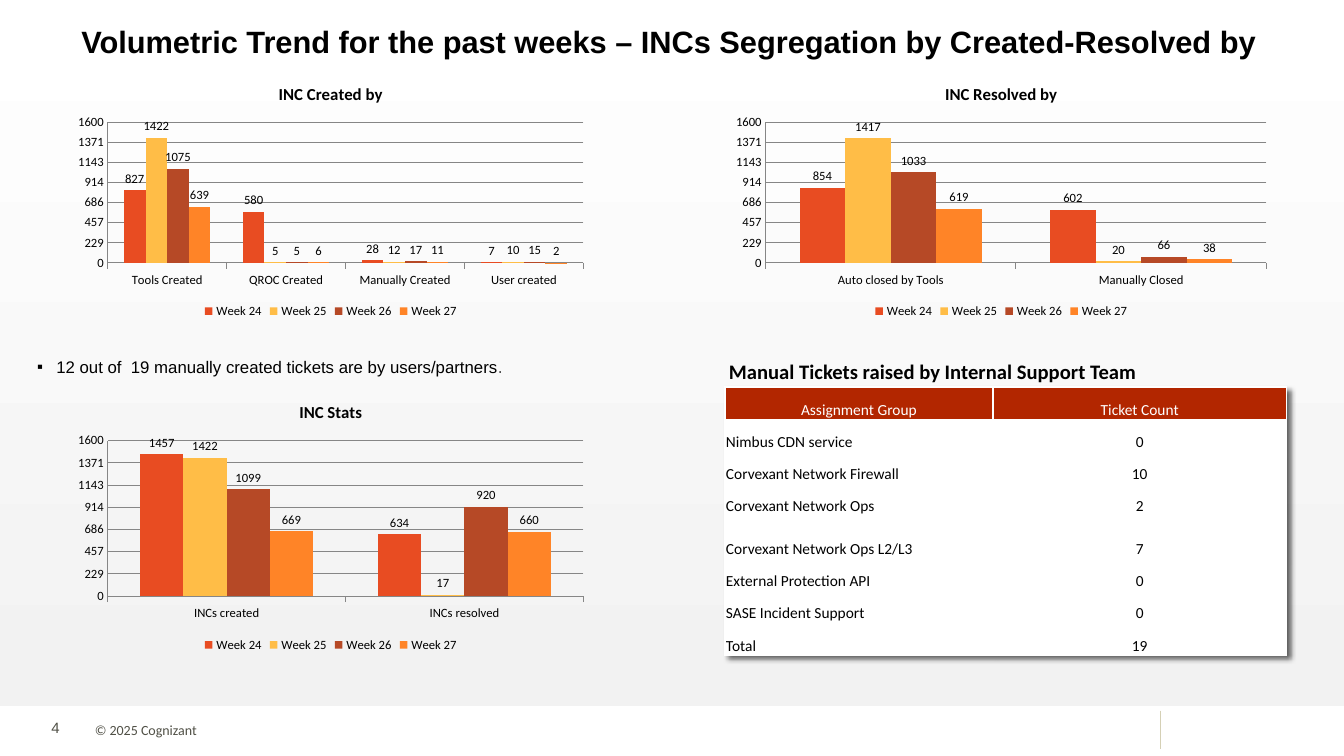
from dataclasses import dataclass
from typing import Any

from lxml.etree import SubElement, fromstring
from pptx import Presentation
from pptx.chart.data import CategoryChartData
from pptx.dml.color import RGBColor
from pptx.enum.chart import (XL_CHART_TYPE as ChartType, XL_LABEL_POSITION as LabelSpot,
                             XL_LEGEND_POSITION as LegendSpot, XL_TICK_MARK as Tick)
from pptx.enum.shapes import MSO_CONNECTOR as Connector, MSO_SHAPE as Preset
from pptx.enum.text import MSO_ANCHOR as Anchor, MSO_AUTO_SIZE as AutoSize, PP_ALIGN as Align
from pptx.oxml.ns import nsdecls, qn
from pptx.slide import Slide
from pptx.util import Inches, Pt

WIDTH, HEIGHT = Inches(13.33), Inches(7.5)


@dataclass(frozen=True)
class Theme:
    body: str = "Calibri"
    display: str = "Arial"
    accent: str = "TeX Gyre Adventor"
    ink: str = "000000"
    muted: str = "505046"
    paper: str = "FFFFFF"
    shade: str = "F2F2F2"
    rule: str = "D5D0B5"
    grid: str = "868686"
    header: str = "B22600"
    weeks: tuple[str, ...] = ("E84C22", "FFBD47", "B64926", "FF8427")
    title_size: float = 22
    heading_size: float = 14.7
    note_size: float = 12
    table_size: float = 11
    number_size: float = 10.7
    footer_size: float = 10
    chart_size: float = 9


THEME = Theme()


@dataclass(frozen=True)
class Place:
    """Position and size in percent of the slide's width and height."""
    left: float
    top: float
    width: float
    height: float

    def box(self) -> tuple[int, int, int, int]:
        return across(self.left), down(self.top), across(self.width), down(self.height)


@dataclass(frozen=True)
class Span:
    text: str
    size: float
    font: str = THEME.body
    colour: str = THEME.ink
    bold: bool = False


@dataclass(frozen=True)
class Label:
    place: Place
    spans: tuple[Span, ...]
    bullet: str = ""
    frame: tuple[tuple[str, Any], ...] = ()


@dataclass(frozen=True)
class WeeklyChart:
    title: str
    place: Place
    categories: tuple[str, ...]
    weeks: tuple[tuple[int, ...], ...]


LEFT_COLUMN, RIGHT_COLUMN = 5.03, 53.94
TOP_ROW, LOWER_ROW = 9.2, 51.2
WEEK_NAMES = [f"Week {number}" for number in range(24, 28)]
CHARTS = (
    WeeklyChart("INC Created by", Place(LEFT_COLUMN, TOP_ROW, 39.16, 33.47),
                ("Tools Created", "QROC Created", "Manually Created", "User created"),
                ((827, 580, 28, 7), (1422, 5, 12, 10), (1075, 5, 17, 15), (639, 6, 11, 2))),
    WeeklyChart("INC Resolved by", Place(RIGHT_COLUMN, TOP_ROW, 41.11, 33.47),
                ("Auto closed by Tools", "Manually Closed"),
                ((854, 602), (1417, 20), (1033, 66), (619, 38))),
    WeeklyChart("INC Stats", Place(LEFT_COLUMN, LOWER_ROW, 39.16, 35.6),
                ("INCs created", "INCs resolved"),
                ((1457, 634), (1422, 17), (1099, 920), (669, 660))),
)
TITLE = Label(Place(2.55, 2.27, 94.45, 7.07),
              (Span("Volumetric Trend for the past weeks – INCs Segregation by Created-Resolved by",
                    THEME.title_size, THEME.display, bold=True),),
              frame=(("vertical_anchor", Anchor.MIDDLE),))
FLUSH = tuple((f"margin_{side}", 0) for side in ("left", "right", "top", "bottom"))
LABELS = (
    Label(Place(3.08, 94.4, 5.7, 3.73),
          (Span("4", THEME.number_size, THEME.display, THEME.muted),)),
    Label(Place(7.05, 94.13, 50.04, 3.6),
          (Span("© 2025 Cognizant", THEME.footer_size, colour=THEME.muted),),
          frame=(("vertical_anchor", Anchor.BOTTOM), *FLUSH)),
    Label(Place(2.03, 46.53, 38.11, 4),
          (Span("12 out of  19 manually created tickets are by users/partners",
                THEME.note_size, THEME.display),
           Span(".", THEME.table_size, THEME.accent)), bullet="▪"),
    Label(Place(53.49, 46.8, 41.94, 4.67),
          (Span("Manual Tickets raised by Internal Support Team", THEME.heading_size, bold=True),)),
)
TICKETS = (("Assignment Group", "Ticket Count"), ("Nimbus CDN service", "0"),
           ("Corvexant Network Firewall", "10"), ("Corvexant Network Ops", "2"),
           ("Corvexant Network Ops L2/L3", "7"), ("External Protection API", "0"),
           ("SASE Incident Support", "0"), ("Total", "19"))
TICKET_PLACE = Place(RIGHT_COLUMN, LOWER_ROW, 41.78, 35.47)
TICKET_COLUMNS = (19.95, 21.83)
TICKET_ROW, TALL_ROW, TALL_INDEX = 4.27, 5.6, 4


def across(percent: float) -> int:
    return round(WIDTH * percent / 100)


def down(percent: float) -> int:
    return round(HEIGHT * percent / 100)


def assign(target: Any, values: dict[str, Any]) -> None:
    for name, value in values.items():
        setattr(target, name, value)


def style_font(font: Any, span: Span) -> None:
    assign(font, {"name": span.font, "size": Pt(span.size), "bold": span.bold})
    font.color.rgb = RGBColor.from_string(span.colour)


def write(para: Any, spans: tuple[Span, ...]) -> None:
    for span in spans:
        run = para.add_run()
        run.text = span.text
        style_font(run.font, span)


def add_bullet(para: Any, symbol: str) -> None:
    props = para._p.get_or_add_pPr()
    indent = Inches(0.19)
    props.set("marL", str(indent))
    props.set("indent", str(-indent))
    SubElement(props, qn("a:buFont"), typeface=THEME.display)
    SubElement(props, qn("a:buChar"), char=symbol)


def fill_label(shape: Any, label: Label) -> Any:
    """Write a label into its shape and return the paragraph."""
    assign(shape.text_frame, {"word_wrap": True, "auto_size": AutoSize.NONE, **dict(label.frame)})
    para = shape.text_frame.paragraphs[0]
    if label.bullet:
        add_bullet(para, label.bullet)
    write(para, label.spans)
    return para


def add_title(page: Slide) -> None:
    title = page.shapes.title
    assign(title, dict(zip(("left", "top", "width", "height"), TITLE.place.box())))
    assign(fill_label(title, TITLE), {"alignment": Align.CENTER, "line_spacing": 0.9})


def add_backdrop(page: Slide) -> None:
    """Draw the shaded area behind everything and the footer rule."""
    backdrop = page.shapes.add_shape(Preset.RECTANGLE, *Place(0, 0, 100, 93.33).box())
    backdrop.shadow.inherit = False
    backdrop.line.fill.background()
    backdrop.fill.gradient()
    backdrop.fill.gradient_angle = 90
    for stop, colour in zip(backdrop.fill.gradient_stops, (THEME.shade, THEME.paper)):
        stop.color.rgb = RGBColor.from_string(colour)
    page.shapes.title.element.addprevious(backdrop.element)
    rule = page.shapes.add_connector(Connector.STRAIGHT, across(86.35), down(94),
                                     across(86.35), down(99.07))
    rule.line.color.rgb = RGBColor.from_string(THEME.rule)
    rule.line.width = Pt(0.5)
    SubElement(rule.element.spPr, qn("a:effectLst"))


def add_weekly_chart(page: Slide, item: WeeklyChart) -> None:
    data = CategoryChartData(number_format="0")
    data.categories = item.categories
    for name, values in zip(WEEK_NAMES, item.weeks):
        data.add_series(name, values)
    chart = page.shapes.add_chart(ChartType.COLUMN_CLUSTERED, *item.place.box(), data).chart
    small = Span("", THEME.chart_size)
    style_font(chart.font, small)
    assign(chart, {"has_title": True, "has_legend": True})
    write(chart.chart_title.text_frame.paragraphs[0],
          (Span(item.title, THEME.note_size, bold=True),))
    assign(chart.legend, {"position": LegendSpot.BOTTOM, "include_in_layout": False})
    plot = chart.plots[0]
    assign(plot, {"gap_width": 150, "overlap": 0, "vary_by_categories": False,
                  "has_data_labels": True})
    assign(plot.data_labels, {"show_value": True, "position": LabelSpot.OUTSIDE_END})
    for series, colour in zip(plot.series, THEME.weeks):
        series.format.fill.solid()
        series.format.fill.fore_color.rgb = RGBColor.from_string(colour)
    assign(chart.value_axis, {"minimum_scale": 0, "maximum_scale": 1600, "major_unit": 1600 / 7,
                              "major_tick_mark": Tick.NONE, "has_major_gridlines": True})
    assign(chart.value_axis.tick_labels, {"number_format": "0", "number_format_is_linked": False})
    chart.category_axis.major_tick_mark = Tick.OUTSIDE
    for font in (chart.legend.font, plot.data_labels.font, chart.value_axis.tick_labels.font,
                 chart.category_axis.tick_labels.font):
        style_font(font, small)
    for line in (chart.value_axis.format.line, chart.category_axis.format.line,
                 chart.value_axis.major_gridlines.format.line):
        line.color.rgb = RGBColor.from_string(THEME.grid)
        line.width = Pt(0.75)


def add_borders(cell: Any) -> None:
    for index, side in enumerate("LRTB"):
        border = fromstring(f'<a:ln{side} {nsdecls("a")} w="{Pt(1)}"><a:solidFill>'
                            f'<a:srgbClr val="{THEME.paper}"/></a:solidFill></a:ln{side}>')
        cell._tc.get_or_add_tcPr().insert(index, border)


def add_ticket_table(page: Slide) -> None:
    frame = page.shapes.add_table(len(TICKETS), len(TICKET_COLUMNS), *TICKET_PLACE.box())
    table = frame.table
    assign(table, {"first_row": False, "horz_banding": False})
    table._tbl.tblPr.insert(0, fromstring(
        f'<a:effectLst {nsdecls("a")}><a:outerShdw blurRad="{Pt(4)}" dist="{Pt(3)}" dir="2700000">'
        '<a:srgbClr val="000000"><a:alpha val="60000"/></a:srgbClr></a:outerShdw></a:effectLst>'))
    for column, width in zip(table.columns, TICKET_COLUMNS):
        column.width = across(width)
    for row_index, texts in enumerate(TICKETS):
        header = row_index == 0
        table.rows[row_index].height = down(TALL_ROW if row_index == TALL_INDEX else TICKET_ROW)
        for column_index, text in enumerate(texts):
            cell = table.cell(row_index, column_index)
            assign(cell, {"vertical_anchor": Anchor.BOTTOM, **dict(FLUSH)})
            assign(cell, {f"margin_{side}": Inches(0.01) for side in ("left", "right", "top")})
            cell.fill.solid()
            cell.fill.fore_color.rgb = RGBColor.from_string(THEME.header if header else THEME.paper)
            add_borders(cell)
            para = cell.text_frame.paragraphs[0]
            para.alignment = Align.CENTER if header or column_index else Align.LEFT
            write(para, (Span(text, THEME.table_size,
                              colour=THEME.paper if header else THEME.ink),))


def main() -> None:
    deck = Presentation()
    assign(deck, {"slide_width": WIDTH, "slide_height": HEIGHT})
    page = deck.slides.add_slide(deck.slide_layouts.get_by_name("Title Only"))
    add_title(page)
    add_backdrop(page)
    for label in LABELS:
        fill_label(page.shapes.add_textbox(*label.place.box()), label)
    add_ticket_table(page)
    for item in CHARTS:
        add_weekly_chart(page, item)
    deck.save("out.pptx")


if __name__ == "__main__":
    main()
